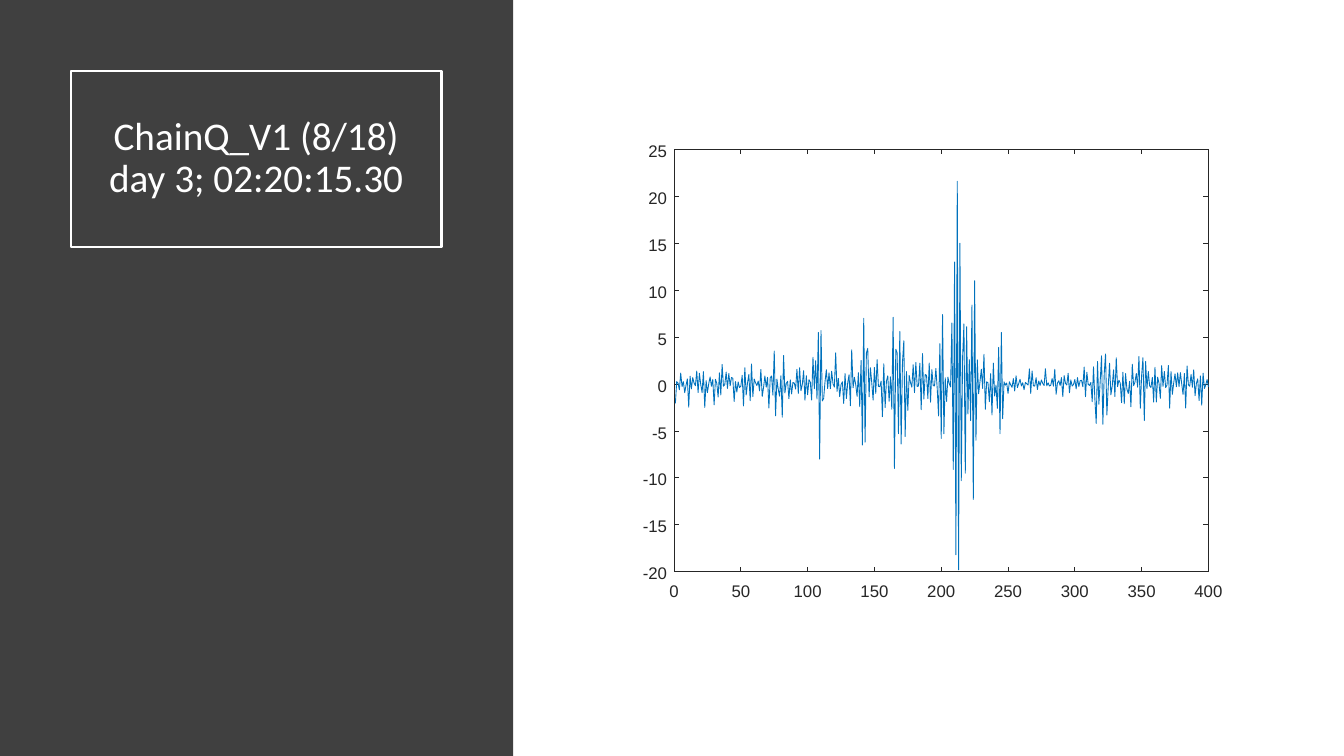
"""Build the ChainQ_V1 slide: a dark title panel beside a waveform plot."""
import math
from dataclasses import dataclass

import pptx
import pptx.dml.color
import pptx.enum.shapes
import pptx.enum.text
import pptx.oxml
import pptx.shapes.autoshape
import pptx.shapes.shapetree
import pptx.text.text
import pptx.util

Pt = pptx.util.Pt
RGBColor = pptx.dml.color.RGBColor
Shapes = pptx.shapes.shapetree.SlideShapes

WHITE = RGBColor(0xFF, 0xFF, 0xFF)
PANEL_GREY = RGBColor(0x40, 0x40, 0x40)
AXIS_GREY = RGBColor(0x26, 0x26, 0x26)
TRACE_BLUE = RGBColor(0x00, 0x72, 0xBD)

LINE_WIDTH = 0.63
TICK_LENGTH = 3.6
LABEL_SIZE = 12
LABEL_HEIGHT = 16
DIGIT_WIDTH = 6.67
MINUS_WIDTH = 4
LABEL_PADDING = 5


@dataclass(frozen=True)
class Box:
    """A rectangle in points."""

    left: float
    top: float
    width: float
    height: float

    @property
    def right(self) -> float:
        """Return the right edge."""
        return self.left + self.width

    @property
    def bottom(self) -> float:
        """Return the bottom edge."""
        return self.top + self.height


@dataclass(frozen=True)
class NoiseBand:
    """A stretch of background noise up to a last sample."""

    last: int
    amplitude: float


@dataclass(frozen=True)
class Burst:
    """Consecutive strong samples of the waveform."""

    first: int
    values: tuple[float, ...]


SLIDE = Box(0, 0, 960, 540)
PANEL = Box(0, 0, 366.5, 540)
TITLE = Box(50.4, 50.4, 265, 126)
PLOT = Box(481.5, 106.7, 381.7, 301.7)
X_VALUES = range(0, 401, 50)
Y_VALUES = range(-20, 26, 5)

NOISE_BANDS = (
    NoiseBand(65, 2.6), NoiseBand(82, 3.6), NoiseBand(95, 2.2), NoiseBand(190, 3.8),
    NoiseBand(207, 2.6), NoiseBand(247, 3.5), NoiseBand(265, 1.1), NoiseBand(313, 1.9),
    NoiseBand(360, 3), NoiseBand(400, 2.6),
)
BURSTS = (
    Burst(107, (-1.6, 5.5, -8, 5.7, -1.8)),
    Burst(141, (-6.5, 7, -6.2, 3.3)),
    Burst(163, (-2.7, 7.1, -9, 3.7, 3.3, -5.3, 5.6, -6.4, 2.3, 4.6, -5.6)),
    Burst(198, (-3.4, 4.3, -5.8, 7.4, -5.3)),
    Burst(208, (6.5, -9.1, 13, -18.2, 21.6, -19.8, 15, -10.3, 2.8, 6.4,
                -9.5, 6.1, -3.2, 2.6, -3.9, 8.4, -12.3, 11, -6)),
    Burst(242, (-2.6, 3.9, -5.3, 5.5, -3.7)),
    Burst(316, (-4.2, 2.4)),
    Burst(320, (3, -4.3, 1.1, 3.2, -3.3)),
    Burst(351, (2.8, -3.9)),
)


def add_rectangle(shapes: Shapes, box: Box) -> pptx.shapes.autoshape.Shape:
    """Add a rectangle without shadow, fill or line."""
    shape = shapes.add_shape(
        pptx.enum.shapes.MSO_SHAPE.RECTANGLE,
        Pt(box.left), Pt(box.top), Pt(box.width), Pt(box.height),
    )
    shape.shadow.inherit = False
    shape.fill.background()
    shape.line.fill.background()
    return shape


def add_filled_rectangle(shapes: Shapes, box: Box, color: RGBColor) -> None:
    """Add a rectangle of one solid color."""
    shape = add_rectangle(shapes, box)
    shape.fill.solid()
    shape.fill.fore_color.rgb = color


def add_run(paragraph: pptx.text.text._Paragraph, text: str, font: str, size: float, color: RGBColor) -> None:
    """Add one formatted run to a paragraph."""
    run = paragraph.add_run()
    run.text = text
    run.font.name = font
    run.font.size = Pt(size)
    run.font.color.rgb = color


def add_title(shapes: Shapes) -> None:
    """Add the outlined two-line title."""
    shape = add_rectangle(shapes, TITLE)
    shape.line.color.rgb = WHITE
    shape.line.width = Pt(1.5)
    shape.text_frame.word_wrap = True
    shape.text_frame.vertical_anchor = pptx.enum.text.MSO_ANCHOR.MIDDLE
    paragraph = shape.text_frame.paragraphs[0]
    paragraph.alignment = pptx.enum.text.PP_ALIGN.CENTER
    paragraph.line_spacing = 0.9
    add_run(paragraph, "ChainQ_V1 (8/18)", "Calibri", 28, WHITE)
    paragraph.add_line_break()
    add_run(paragraph, "day 3; 02:20:15.30", "Calibri", 28, WHITE)


def add_axis_line(shapes: Shapes, x1: float, y1: float, x2: float, y2: float) -> None:
    """Add a thin axis or tick line."""
    connector = shapes.add_connector(
        pptx.enum.shapes.MSO_CONNECTOR.STRAIGHT, Pt(x1), Pt(y1), Pt(x2), Pt(y2)
    )
    connector.line.color.rgb = AXIS_GREY
    connector.line.width = Pt(LINE_WIDTH)
    connector._element.spPr.append(pptx.oxml.parse_xml(
        '<a:effectLst xmlns:a="http://schemas.openxmlformats.org/drawingml/2006/main"/>'
    ))


def label_width(text: str) -> float:
    """Return the width of a number set in the label font."""
    return sum(MINUS_WIDTH if character == "-" else DIGIT_WIDTH for character in text)


def add_label(shapes: Shapes, text: str, left: float, top: float) -> None:
    """Add an axis number."""
    box = shapes.add_textbox(Pt(left), Pt(top), Pt(label_width(text) + LABEL_PADDING), Pt(LABEL_HEIGHT))
    frame = box.text_frame
    frame.margin_left = frame.margin_right = frame.margin_top = frame.margin_bottom = 0
    frame.word_wrap = False
    frame.auto_size = pptx.enum.text.MSO_AUTO_SIZE.SHAPE_TO_FIT_TEXT
    add_run(frame.paragraphs[0], text, "Arial", LABEL_SIZE, AXIS_GREY)


def plot_x(value: float) -> float:
    """Return the horizontal place of a sample number."""
    return PLOT.left + value / X_VALUES[-1] * PLOT.width


def plot_y(value: float) -> float:
    """Return the vertical place of a signal value."""
    return PLOT.bottom - (value - Y_VALUES[0]) / (Y_VALUES[-1] - Y_VALUES[0]) * PLOT.height


def add_axes(shapes: Shapes) -> None:
    """Add the plot frame with ticks and numbers."""
    for edge, inward in ((PLOT.bottom, -TICK_LENGTH), (PLOT.top, TICK_LENGTH)):
        add_axis_line(shapes, PLOT.left, edge, PLOT.right, edge)
        for value in X_VALUES:
            add_axis_line(shapes, plot_x(value), edge, plot_x(value), edge + inward)
    for value in X_VALUES:
        text = str(value)
        add_label(shapes, text, plot_x(value) - label_width(text) / 2, PLOT.bottom + 6.5)
    for edge, inward in ((PLOT.left, TICK_LENGTH), (PLOT.right, -TICK_LENGTH)):
        add_axis_line(shapes, edge, PLOT.bottom, edge, PLOT.top)
        for value in Y_VALUES:
            add_axis_line(shapes, edge, plot_y(value), edge + inward, plot_y(value))
    for value in Y_VALUES:
        text = str(value)
        add_label(shapes, text, PLOT.left - label_width(text) - LABEL_PADDING, plot_y(value) - 6.2)


def signal_values() -> dict[int, float]:
    """Return the background noise overlaid with the strong bursts."""
    signal = {}
    for sample in range(1, X_VALUES[-1] + 1):
        amplitude = next(band.amplitude for band in NOISE_BANDS if sample <= band.last)
        signal[sample] = amplitude * math.cos(2.6 * sample) * (0.55 + 0.45 * math.sin(sample**2))
    for burst in BURSTS:
        signal.update(enumerate(burst.values, start=burst.first))
    return signal


def add_trace(shapes: Shapes) -> None:
    """Add the waveform as one open outline."""
    points = [(Pt(plot_x(sample)), Pt(plot_y(value))) for sample, value in signal_values().items()]
    builder = shapes.build_freeform(*points[0])
    builder.add_line_segments(points[1:], close=False)
    trace = builder.convert_to_shape()
    trace.shadow.inherit = False
    trace.fill.background()
    trace.line.color.rgb = TRACE_BLUE
    trace.line.width = Pt(LINE_WIDTH)


presentation = pptx.Presentation()
presentation.slide_width = Pt(SLIDE.width)
presentation.slide_height = Pt(SLIDE.height)
slide = presentation.slides.add_slide(presentation.slide_layouts[6])
add_filled_rectangle(slide.shapes, PANEL, PANEL_GREY)
add_title(slide.shapes)
add_filled_rectangle(slide.shapes, PLOT, WHITE)
add_axes(slide.shapes)
add_trace(slide.shapes)
presentation.save("out.pptx")
